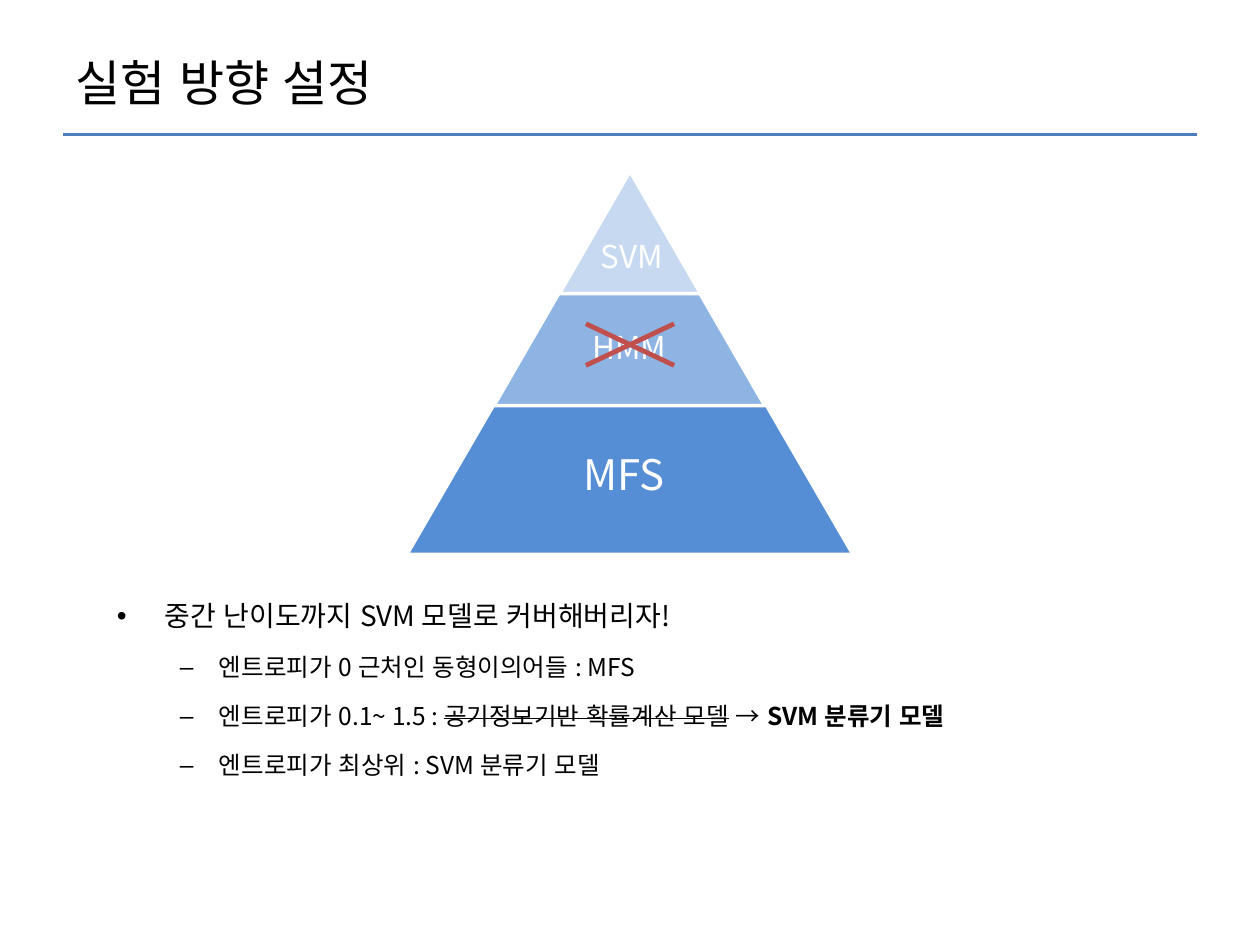
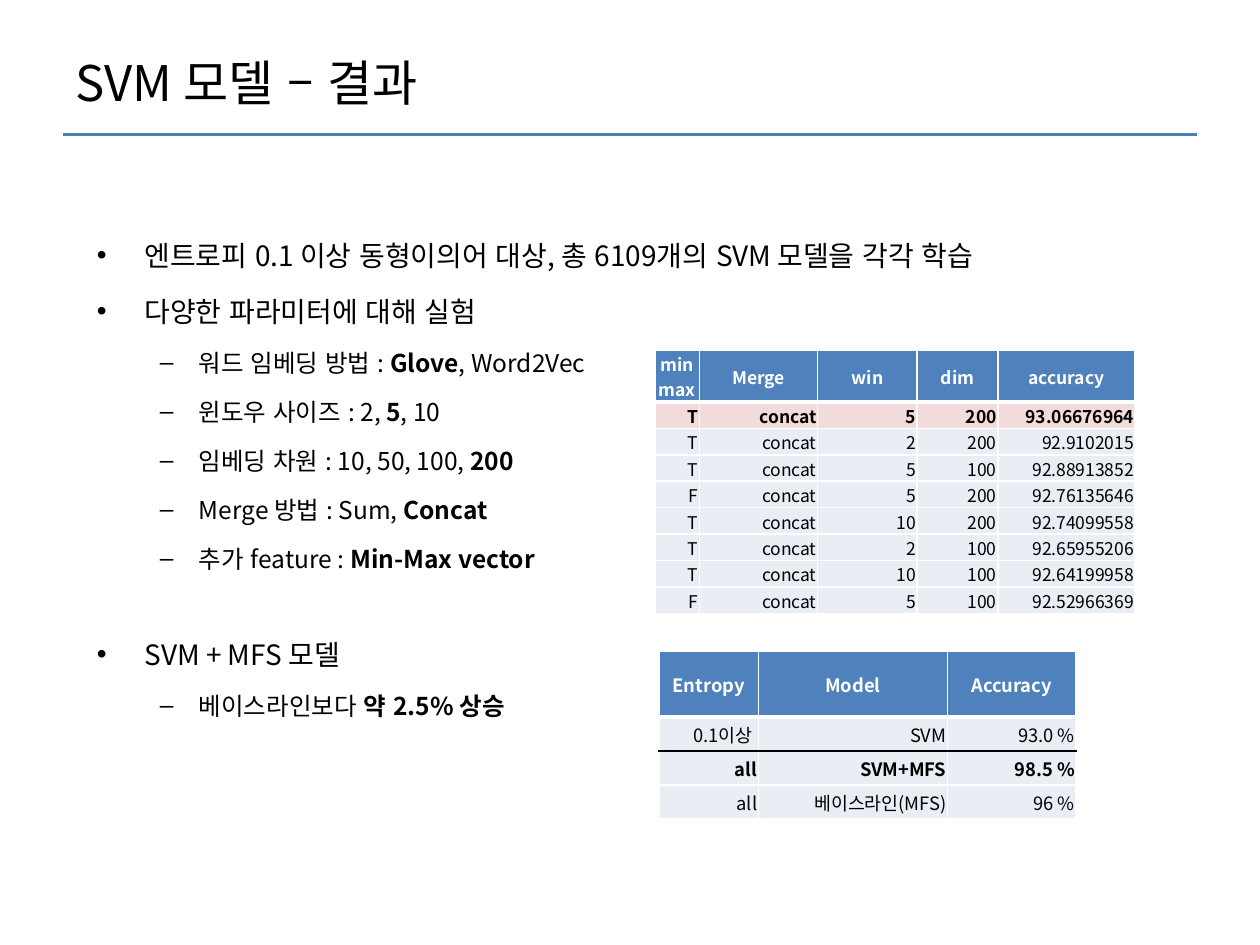
from dataclasses import dataclass

from lxml import etree
from pptx import Presentation
from pptx import util as u
from pptx.dml.color import RGBColor
from pptx.enum import lang, shapes, text
from pptx.oxml import ns


@dataclass(frozen=True)
class Theme:
    font: str = "Noto Sans CJK KR"
    ink: str = "000000"
    white: str = "FFFFFF"
    rule: str = "4B7EBC"
    header: str = "4F81BD"
    cell: str = "E9EDF4"
    best: str = "F2DCDB"
    cross: str = "C0504D"
    base_tier: str = "558ED5"
    middle_tier: str = "8EB4E3"
    top_tier: str = "C6D9F1"
    title_size: float = 28
    level_sizes: tuple = (16, 14)
    base_label: float = 24
    label: float = 18
    small_table: float = 10
    summary_table: float = 10.5


THEME = Theme()
BULLETS = (("•", 0.38, 0.38), ("–", 0.81, 0.31))  # mark, left margin, hanging
LINE_SPACING = 1.5
BOLD = {"bold": True}
STRIKE = {"strike": True}
PP = text.PP_ALIGN


def rgb(value):
    return RGBColor.from_string(value)


def inches(*values):
    return [u.Inches(value) for value in values]


# Text
def add_span(para, words, size, color=THEME.ink, bold=False, strike=False):
    span = para.add_run()
    span.text = words
    values = {"size": u.Pt(size), "bold": bold, "name": THEME.font,
              "language_id": lang.MSO_LANGUAGE_ID.KOREAN}
    for name, value in values.items():
        setattr(span.font, name, value)
    span.font.color.rgb = rgb(color)
    props = span._r.get_or_add_rPr()
    etree.SubElement(props, ns.qn("a:ea"), typeface=THEME.font)
    props.set("kern", "1200")
    if strike:
        props.set("strike", "sngStrike")


def add_text_box(page, area, anchor=text.MSO_ANCHOR.TOP):
    frame = page.shapes.add_textbox(*inches(*area)).text_frame
    for name, value in {"word_wrap": True, "vertical_anchor": anchor}.items():
        setattr(frame, name, value)
    return frame


def add_label(page, area, words, size):
    add_span(add_text_box(page, area).paragraphs[0], words, size, THEME.white)


def add_bullets(page, area, items):
    """Each item is (level, spans, extra space before in points)."""
    frame = add_text_box(page, area)
    for number, (level, spans, gap) in enumerate(items):
        para = frame.add_paragraph() if number else frame.paragraphs[0]
        size = THEME.level_sizes[level]
        values = {"level": level, "line_spacing": LINE_SPACING,
                  "space_before": u.Pt(0.2 * size + gap)}
        for name, value in values.items():
            setattr(para, name, value)
        mark, margin, hanging = BULLETS[level]
        props = para._p.get_or_add_pPr()
        props.set("marL", str(u.Inches(margin)))
        props.set("indent", str(-u.Inches(hanging)))
        etree.SubElement(props, ns.qn("a:buFont"), typeface="Arial")
        etree.SubElement(props, ns.qn("a:buChar"), char=mark)
        for words, style in spans:
            add_span(para, words, size, **style)


# Lines and shapes
def add_line(page, start, end, color, width):
    line = page.shapes.add_connector(
        shapes.MSO_CONNECTOR.STRAIGHT, *inches(*start, *end))
    line.line.color.rgb = rgb(color)
    line.line.width = u.Pt(width)
    etree.SubElement(line._element.spPr, ns.qn("a:effectLst"))


def add_tier(page, area, color):
    tier = page.shapes.add_shape(
        shapes.MSO_SHAPE.ISOSCELES_TRIANGLE, *inches(*area))
    tier.shadow.inherit = False
    tier.fill.solid()
    tier.fill.fore_color.rgb = rgb(color)
    tier.line.color.rgb = rgb(THEME.white)
    tier.line.width = u.Pt(2)
    return tier


# Tables
def set_borders(cell, top, bottom):
    props = cell._tc.get_or_add_tcPr()
    side = (THEME.white, 1)
    edges = {"lnL": side, "lnR": side, "lnT": top, "lnB": bottom}
    for tag, (color, width) in edges.items():
        line = etree.SubElement(props, ns.qn(f"a:{tag}"), w=str(u.Pt(width)))
        fill = etree.SubElement(line, ns.qn("a:solidFill"))
        etree.SubElement(fill, ns.qn("a:srgbClr"), val=color)


def fill_cell(cell, words, size, fill, color, bold, align):
    values = {"margin_left": u.Inches(0.01), "margin_right": u.Inches(0.01),
              "margin_top": u.Inches(0.01), "margin_bottom": 0,
              "vertical_anchor": text.MSO_ANCHOR.MIDDLE}
    for name, value in values.items():
        setattr(cell, name, value)
    cell.fill.solid()
    cell.fill.fore_color.rgb = rgb(fill)
    para = cell.text_frame.paragraphs[0]
    para.alignment = align
    add_span(para, words, size, color, bold)


def add_results(page, corner, widths, heights, rows, size, bold_row,
                bold_fill=THEME.cell, rules=None):
    """rules maps the number of a row to the border above it."""
    rules = {1: (THEME.white, 3), **(rules or {})}
    plain = (THEME.white, 1)
    area = (*corner, sum(widths), sum(heights))
    table = page.shapes.add_table(
        len(rows), len(widths), *inches(*area)).table
    table.first_row = table.horz_banding = False
    for column, width in zip(table.columns, widths):
        column.width = u.Inches(width)
    for number, (row, height) in enumerate(zip(rows, heights)):
        table.rows[number].height = u.Inches(height)
        if number == 0:
            look = (THEME.header, THEME.white, True, PP.CENTER)
        elif number == bold_row:
            look = (bold_fill, THEME.ink, True, PP.RIGHT)
        else:
            look = (THEME.cell, THEME.ink, False, PP.RIGHT)
        for index, words in enumerate(row):
            cell = table.cell(number, index)
            set_borders(cell, rules.get(number, plain),
                        rules.get(number + 1, plain))
            fill_cell(cell, words, size, *look)


# Slides
def add_page(deck, title):
    page = deck.slides.add_slide(deck.slide_layouts[6])
    frame = add_text_box(page, (0.5, 0.3, 9, 0.7), text.MSO_ANCHOR.MIDDLE)
    add_span(frame.paragraphs[0], title, THEME.title_size)
    add_line(page, (0.5, 1.07), (9.5, 1.07), THEME.rule, 1.75)
    return page


def build_direction(deck):
    page = add_page(deck, "실험 방향 설정")
    add_bullets(page, (0.83, 4.57, 9, 2.25), [
        (0, [("중간 난이도까지 SVM 모델로 커버해버리자!", {})], 0),
        (1, [("엔트로피가 0 근처인 동형이의어들 : MFS", {})], 0),
        (1, [("엔트로피가 0.1~ 1.5 : ", {}),
             ("공기정보기반 확률계산 모델", STRIKE),
             (" → ", {}), ("SVM 분류기 모델", BOLD)], 0),
        (1, [("엔트로피가 최상위 : SVM 분류기 모델", {})], 0),
    ])

    # Pyramid of models
    add_tier(page, (3.23, 1.35, 3.54, 3.05), THEME.base_tier)
    middle = add_tier(page, (3.92, 1.36, 2.15, 1.86), THEME.middle_tier)
    add_tier(page, (4.44, 1.36, 1.12, 0.97), THEME.top_tier)
    middle.text_frame.vertical_anchor = text.MSO_ANCHOR.MIDDLE
    para = middle.text_frame.paragraphs[0]
    para.alignment = PP.CENTER
    add_span(para, "HMM", THEME.label, THEME.white)
    add_label(page, (4.53, 3.51, 0.96, 0.5), "MFS", THEME.base_label)
    add_label(page, (4.67, 1.83, 0.96, 0.4), "SVM", THEME.label)

    # Cross over the dropped model
    left, right, top, bottom = 4.65, 5.35, 2.57, 2.9
    add_line(page, (right, top), (left, bottom), THEME.cross, 2.75)
    add_line(page, (right, bottom), (left, top), THEME.cross, 2.75)


def build_results(deck):
    page = add_page(deck, "SVM 모델 – 결과")
    add_bullets(page, (0.67, 1.71, 9, 4.95), [
        (0, [("엔트로피 0.1 이상 동형이의어 대상, 총 6109개의 SVM 모델을 "
              "각각 학습", {})], 0),
        (0, [("다양한 파라미터에 대해 실험", {})], 0),
        (1, [("워드 임베딩 방법 : ", {}), ("Glove", BOLD),
             (", Word2Vec", {})], 0),
        (1, [("윈도우 사이즈 : 2, ", {}), ("5", BOLD), (", 10", {})], 0),
        (1, [("임베딩 차원 : 10, 50, 100, ", {}), ("200", BOLD)], 0),
        (1, [("Merge 방법 : Sum, ", {}), ("Concat", BOLD)], 0),
        (1, [("추가 feature : ", {}), ("Min-Max vector", BOLD)], 0),
        (0, [("SVM + MFS 모델", {})], 24),
        (1, [("베이스라인보다 ", {}), ("약 2.5% 상승", BOLD)], 0),
    ])

    # Parameter trials, best first
    trials = [
        ("T", "5", "200", "93.06676964"),
        ("T", "2", "200", "92.9102015"),
        ("T", "5", "100", "92.88913852"),
        ("F", "5", "200", "92.76135646"),
        ("T", "10", "200", "92.74099558"),
        ("T", "2", "100", "92.65955206"),
        ("T", "10", "100", "92.64199958"),
        ("F", "5", "100", "92.52966369"),
    ]
    rows = [("minmax", "Merge", "win", "dim", "accuracy")]
    rows += [(minmax, "concat", *rest) for minmax, *rest in trials]
    add_results(page, (5.2, 2.78), (0.35, 0.94, 0.79, 0.64, 1.09),
                [0.41] + [0.21] * len(trials), rows, THEME.small_table,
                bold_row=1, bold_fill=THEME.best)

    # Comparison with the baseline
    rows = [
        ("Entropy", "Model", "Accuracy"),
        ("0.1이상 ", "SVM", "93.0 %"),
        ("all", "SVM+MFS", "98.5 %"),
        ("all", "베이스라인(MFS)", "96 %"),
    ]
    add_results(page, (5.23, 5.17), (0.79, 1.5, 1.02), [0.52] + [0.27] * 3,
                rows, THEME.summary_table, bold_row=2,
                rules={2: (THEME.ink, 1)})


def main():
    deck = Presentation()
    deck.slide_width, deck.slide_height = inches(10, 7.5)
    build_direction(deck)
    build_results(deck)
    deck.save("out.pptx")


if __name__ == "__main__":
    main()
